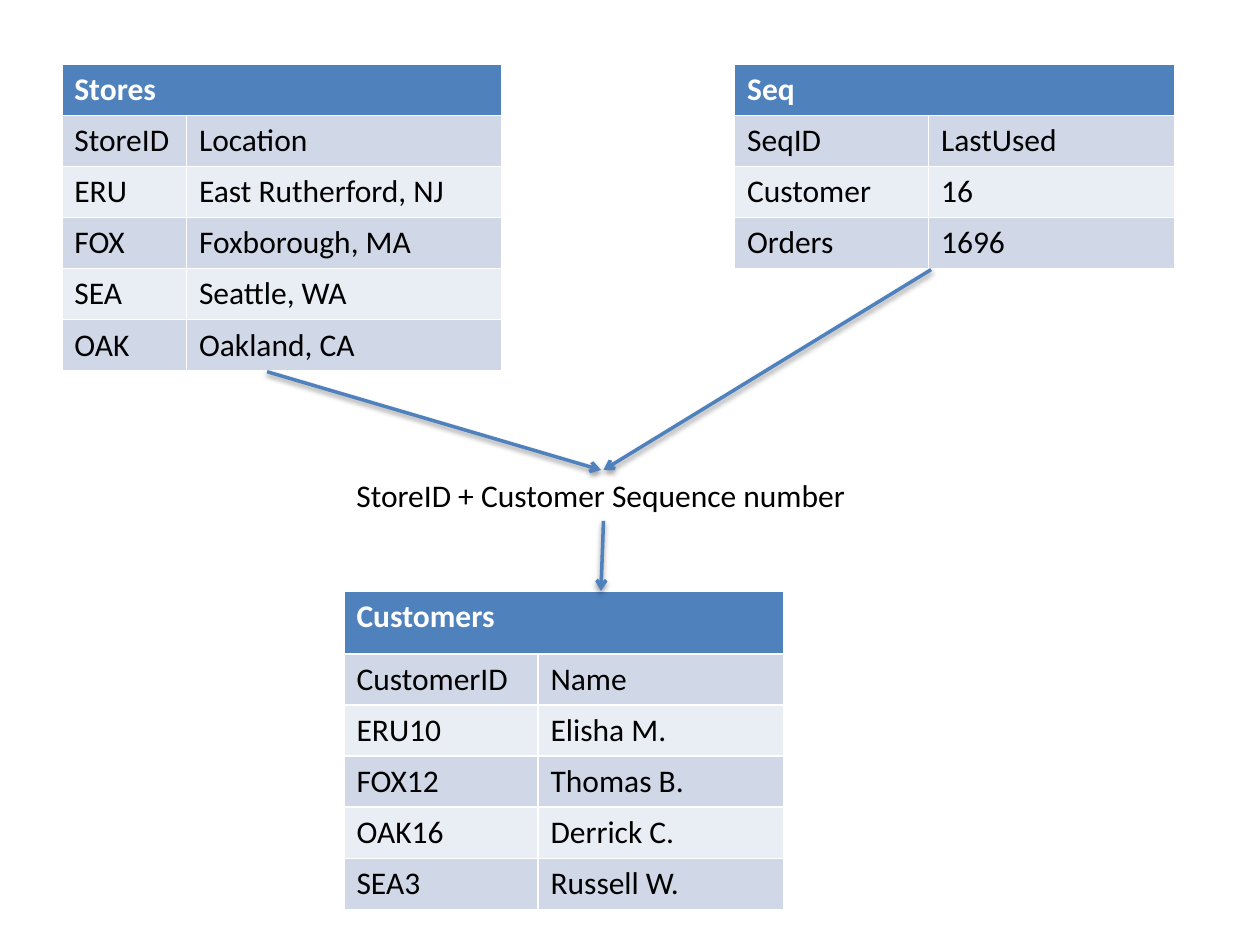
from lxml.etree import SubElement
from pptx import Presentation
from pptx.dml.color import RGBColor
from pptx.enum.shapes import MSO_CONNECTOR
from pptx.enum.text import MSO_AUTO_SIZE
from pptx.oxml.ns import qn
from pptx.util import Inches, Pt


def color(value):
    return RGBColor.from_string(value)


class Diagram:
    COLS, ROWS = 100, 75
    FONT, SIZE = "Calibri", 18
    ACCENT, TEXT, HEADER_TEXT = "4F81BD", "000000", "FFFFFF"
    BANDS = ("E9EDF4", "D0D8E8")
    ROW_HEIGHT = 4.05

    def __init__(self, prs):
        self.prs = prs
        self.s = prs.slides.add_slide(prs.slide_layouts[6])

    def x(self, cols):
        return round(self.prs.slide_width * cols / self.COLS)

    def y(self, rows):
        return round(self.prs.slide_height * rows / self.ROWS)

    def style(self, tf, value, bold=False):
        for p in tf.paragraphs:
            for r in p.runs:
                r.font.name = self.FONT
                r.font.size = Pt(self.SIZE)
                r.font.bold = bold
                r.font.color.rgb = color(value)

    def table(self, left, top, widths, title, records, header_height=ROW_HEIGHT):
        heights = [header_height] + [self.ROW_HEIGHT] * len(records)
        table = self.s.shapes.add_table(
            len(heights), len(widths), self.x(left), self.y(top),
            self.x(sum(widths)), self.y(sum(heights))).table
        for column, width in zip(table.columns, widths):
            column.width = self.x(width)
        for row, height in zip(table.rows, heights):
            row.height = self.y(height)
        table.cell(0, 0).merge(table.cell(0, len(widths) - 1))
        for i, texts in enumerate([(title, "")] + records):
            for cell, text in zip(table.rows[i].cells, texts):
                cell.fill.solid()
                cell.fill.fore_color.rgb = color(self.BANDS[i % 2] if i else self.ACCENT)
                if text:
                    cell.text_frame.text = text
                    self.style(cell.text_frame, self.TEXT if i else self.HEADER_TEXT, i == 0)

    def label(self, left, top, width, height, text):
        sp = self.s.shapes.add_textbox(self.x(left), self.y(top), self.x(width), self.y(height))
        tf = sp.text_frame
        tf.word_wrap = False
        tf.auto_size = MSO_AUTO_SIZE.SHAPE_TO_FIT_TEXT
        tf.text = text
        self.style(tf, self.TEXT)
        return sp

    def arrow(self, start, end):
        line = self.s.shapes.add_connector(
            MSO_CONNECTOR.STRAIGHT, self.x(start[0]), self.y(start[1]),
            self.x(end[0]), self.y(end[1]))
        line.line.color.rgb = color(self.ACCENT)
        line.line.width = Pt(2)
        SubElement(line.line._get_or_add_ln(), qn("a:tailEnd"), type="arrow")
        effects = SubElement(line._element.spPr, qn("a:effectLst"))
        shadow = SubElement(effects, qn("a:outerShdw"), blurRad=str(Pt(3.1)),
                            dist=str(Pt(1.6)), dir="5400000", rotWithShape="0")
        shade = SubElement(shadow, qn("a:srgbClr"), val="000000")
        SubElement(shade, qn("a:alpha"), val="38000")
        return line


def main():
    prs = Presentation()
    prs.slide_width, prs.slide_height = Inches(10), Inches(7.5)
    d = Diagram(prs)

    d.table(4.9, 5.1, (9.9, 25), "Stores", [
        ("StoreID", "Location"),
        ("ERU", "East Rutherford, NJ"),
        ("FOX", "Foxborough, MA"),
        ("SEA", "Seattle, WA"),
        ("OAK", "Oakland, CA"),
    ])
    d.table(27.3, 46.9, (15.4, 19.5), "Customers", [
        ("CustomerID", "Name"),
        ("ERU10", "Elisha M."),
        ("FOX12", "Thomas B."),
        ("OAK16", "Derrick C."),
        ("SEA3", "Russell W."),
    ], header_height=5)
    d.table(58.3, 5.1, (15.4, 19.5), "Seq", [
        ("SeqID", "LastUsed"),
        ("Customer", "16"),
        ("Orders", "1696"),
    ])

    key = d.label(27.3, 37.3, 41.2, 4.04, "StoreID + Customer Sequence number")
    d.arrow((47.9, 41.4), (47.7, 46.9)).begin_connect(key, 2)
    d.arrow((21.2, 29.5), (47.7, 37.3))
    d.arrow((73.9, 21.4), (47.9, 37.3)).end_connect(key, 0)

    prs.save("out.pptx")


if __name__ == "__main__":
    main()
